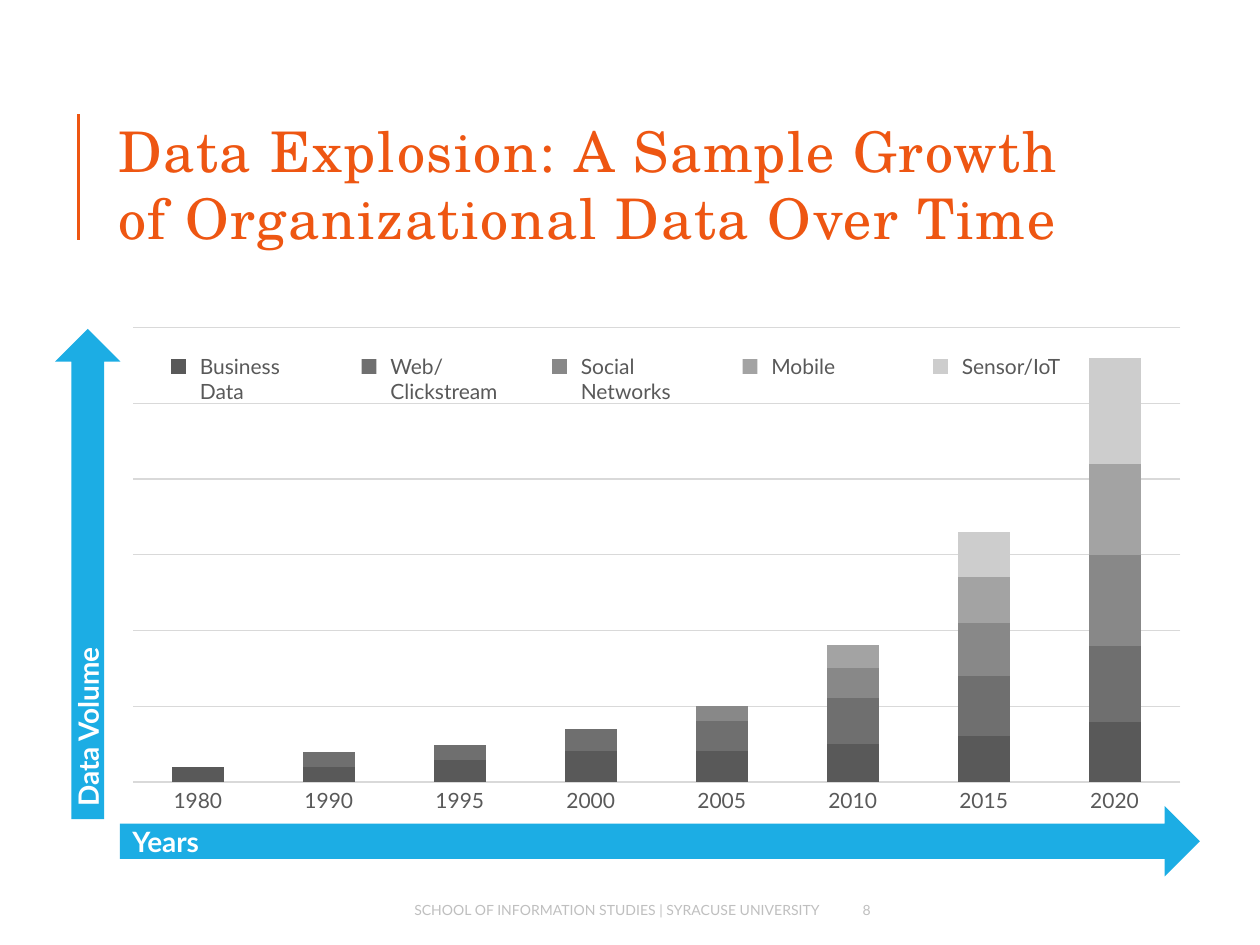
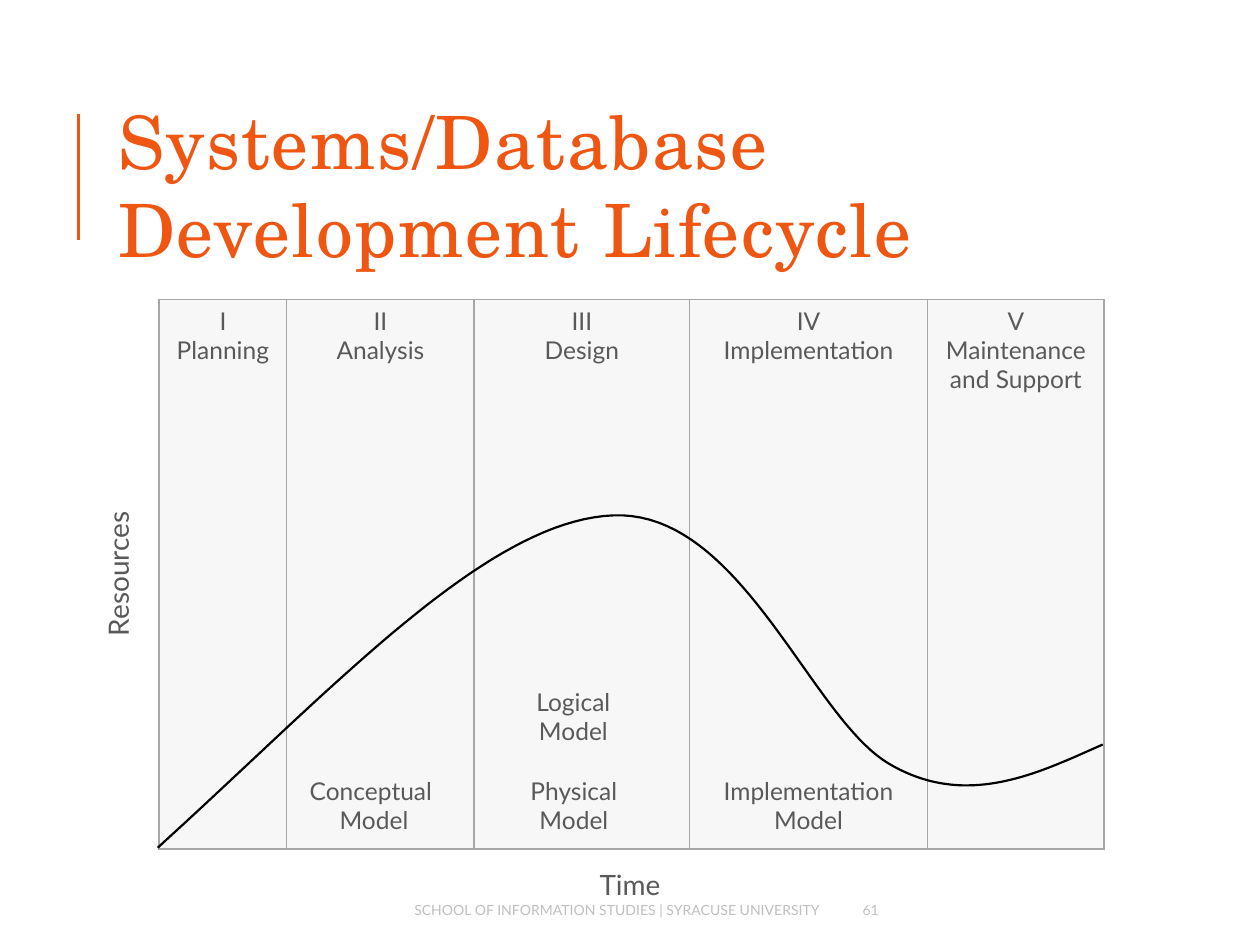
from copy import deepcopy

from lxml import etree
from pptx import Presentation
from pptx import util as u
from pptx.chart import data
from pptx.dml import color
from pptx.enum import chart as charts, shapes, text
from pptx.oxml import ns

COLORS = {"orange": "EE5612", "blue": "1CADE4", "body": "595959", "footer": "BFBFBF",
          "grid": "D9D9D9", "border": "A6A6A6", "cell": "F7F7F7", "white": "FFFFFF",
          "curve": "000000"}

LEFT, CENTER, RIGHT = text.PP_ALIGN.LEFT, text.PP_ALIGN.CENTER, text.PP_ALIGN.RIGHT
TOP, MIDDLE = text.MSO_ANCHOR.TOP, text.MSO_ANCHOR.MIDDLE

FONTS = {
    "growth title": ({"name": "TeX Gyre Schola", "size": u.Pt(32)}, "orange"),
    "lifecycle title": ({"name": "TeX Gyre Schola", "size": u.Pt(42)}, "orange"),
    "footer": ({"name": "Lato", "size": u.Pt(8)}, "footer"),
    "arrow": ({"name": "Lato", "size": u.Pt(16), "bold": True}, "white"),
    "label": ({"name": "Lato", "size": u.Pt(12)}, "body"),
    "phase": ({"name": "Lato", "size": u.Pt(14)}, "body"),
    "axis": ({"name": "Lato", "size": u.Pt(16)}, "body"),
}

FOOTER = "SCHOOL OF INFORMATION STUDIES | SYRACUSE UNIVERSITY"

YEARS = ["1980", "1990", "1995", "2000", "2005", "2010", "2015", "2020"]
SOURCES = [
    ("Business Data", "595959", [14, 14, 21, 29, 29, 36, 43, 57]),
    ("Web/Clickstream", "6F6F6F", [0, 14, 14, 21, 29, 43, 57, 71]),
    ("Social Networks", "888888", [0, 0, 0, 0, 14, 29, 50, 86]),
    ("Mobile", "A3A3A3", [0, 0, 0, 0, 0, 21, 43, 86]),
    ("Sensor/IoT", "CDCDCD", [0, 0, 0, 0, 0, 0, 43, 100]),
]
GRID_STEP, GRID_COUNT = 71.43, 6
PLOT = {"x": 0.018, "y": 0.035, "w": 0.965, "h": 0.833}
ARROWS = [("Data Volume", (-3.17, 10.91, 9.88, 1.32), -90),
          ("Years", (2.42, 16.25, 21.77, 1.42), 0)]

PHASES = [("I\vPlanning", 2.57), ("II\vAnalysis", 3.78), ("III\vDesign", 4.34),
          ("IV\vImplementation", 4.8), ("V\vMaintenance and Support", 3.56)]
MODELS = [("Conceptual \vModel", (5.74, 15.52, 3.6, 1.45)),
          ("Logical\vModel", (10.26, 13.72, 2.6, 1.45)),
          ("Implementation\vModel", (14.0, 15.52, 4.6, 1.45)),
          ("Physical\vModel", (10.27, 15.52, 2.6, 1.45))]
AXES = [("Time", (11.7, 17.37, 2.0, 0.94), 0),
        ("Resources", (0.58, 11.1, 3.6, 0.94), -90)]
CURVE_START = (3.18, 17.09)
CURVE = [((6.71, 13.89), (9.8, 10.49), (12.37, 10.39)),
         ((14.94, 10.29), (16.33, 14.45), (17.91, 15.39)),
         ((19.48, 16.33), (20.96, 15.57), (22.23, 15.01))]
CURVE_STEPS = 40


def rgb(key):
    return color.RGBColor.from_string(COLORS.get(key, key))


def cm(values):
    return [u.Cm(value) for value in values]


def set_all(target, values):
    for key, value in values.items():
        setattr(target, key, value)


def paint(fill, key):
    fill.solid()
    fill.fore_color.rgb = rgb(key)


def style_font(font, style):
    values, tint = FONTS[style]
    set_all(font, values)
    font.color.rgb = rgb(tint)


def write(frame, words, style, align=LEFT, spacing=None):
    paragraph = frame.paragraphs[0]
    paragraph.text = words
    paragraph.alignment = align
    for run in paragraph.runs:
        style_font(run.font, style)
        if spacing:
            run._r.get_or_add_rPr().set("spc", str(spacing))
    for line_break in paragraph._p.findall(ns.qn("a:br")):
        line_break.append(deepcopy(paragraph.runs[0]._r.rPr))


def add_words(slide, words, box, style, align=LEFT, anchor=TOP, wrap=True,
              spacing=None, rotation=0):
    holder = slide.shapes.add_textbox(*cm(box))
    holder.rotation = rotation
    set_all(holder.text_frame, {"word_wrap": wrap, "vertical_anchor": anchor})
    write(holder.text_frame, words, style, align, spacing)


def add_block(slide, preset, box, fill):
    block = slide.shapes.add_shape(preset, *cm(box))
    block.shadow.inherit = False
    paint(block.fill, fill)
    block.line.fill.background()
    return block


def start_slide(deck, title, style, number):
    slide = deck.slides.add_slide(deck.slide_layouts[6])
    rule = slide.shapes.add_connector(shapes.MSO_CONNECTOR.STRAIGHT,
                                      *cm((1.58, 4.83, 1.58, 2.29)))
    rule.line.color.rgb = rgb("orange")
    rule.line.width = u.Pt(1.5)
    etree.SubElement(rule._element.spPr, ns.qn("a:effectLst"))
    add_words(slide, title, (2.13, 1.62, 20.24, 4.17), style, anchor=MIDDLE, spacing=100)
    add_words(slide, FOOTER, (4.8, 17.97, 11.99, 0.76), "footer", RIGHT, MIDDLE)
    add_words(slide, number, (17.14, 17.97, 2.31, 0.76), "footer", anchor=MIDDLE)
    return slide


def place_plot(chart):
    area = chart._chartSpace.chart.plotArea
    for old in area.findall(ns.qn("c:layout")):
        area.remove(old)
    layout = etree.Element(ns.qn("c:layout"))
    manual = etree.SubElement(layout, ns.qn("c:manualLayout"))
    settings = {"layoutTarget": "inner", "xMode": "edge", "yMode": "edge", **PLOT}
    for tag, value in settings.items():
        etree.SubElement(manual, ns.qn("c:" + tag)).set("val", str(value))
    area.insert(0, layout)


def add_growth_chart(slide):
    growth = data.CategoryChartData()
    growth.categories = YEARS
    for source, _, volumes in SOURCES:
        growth.add_series(source, volumes)
    chart = slide.shapes.add_chart(charts.XL_CHART_TYPE.COLUMN_STACKED,
                                   *cm((2.28, 6.22, 21.89, 11)), growth).chart
    set_all(chart, {"has_legend": False, "has_title": False})
    style_font(chart.font, "label")
    chart.font.size = u.Pt(10)
    set_all(chart.plots[0], {"gap_width": 150, "overlap": 100, "vary_by_categories": False})
    chart.category_axis.visible = False
    set_all(chart.value_axis, {"visible": False, "has_major_gridlines": True,
                               "minimum_scale": 0, "major_unit": GRID_STEP,
                               "maximum_scale": GRID_STEP * GRID_COUNT})
    grid = chart.value_axis.major_gridlines.format.line
    grid.color.rgb = rgb("grid")
    grid.width = u.Pt(0.75)
    for series, (_, tint, _) in zip(chart.plots[0].series, SOURCES):
        paint(series.format.fill, tint)
    place_plot(chart)


def build_growth(deck):
    slide = start_slide(deck, "Data Explosion: A Sample Growth of Organizational Data Over Time",
                        "growth title", "8")
    add_growth_chart(slide)
    for words, box, rotation in ARROWS:
        arrow = add_block(slide, shapes.MSO_SHAPE.RIGHT_ARROW, box, "blue")
        arrow.rotation = rotation
        arrow.text_frame.vertical_anchor = MIDDLE
        write(arrow.text_frame, words, "arrow")
    for index, (source, tint, _) in enumerate(SOURCES):
        left = 3.45 + 3.84 * index
        add_block(slide, shapes.MSO_SHAPE.RECTANGLE, (left, 7.24, 0.3, 0.3), tint)
        add_words(slide, source, (left + 0.33, 7, 2.82, 0.95), "label")
    for index, year in enumerate(YEARS):
        add_words(slide, year, (3.08 + 2.64 * index, 15.75, 1.82, 0.95), "label", CENTER)


def border_cell(cell):
    properties = cell._tc.get_or_add_tcPr()
    for index, side in enumerate(("lnL", "lnR", "lnT", "lnB")):
        edge = etree.Element(ns.qn("a:" + side), w=str(u.Pt(1)))
        fill = etree.SubElement(edge, ns.qn("a:solidFill"))
        etree.SubElement(fill, ns.qn("a:srgbClr"), val=COLORS["border"])
        properties.insert(index, edge)


def add_phases(slide):
    width = sum(width for _, width in PHASES)
    phases = slide.shapes.add_table(1, len(PHASES), *cm((3.21, 6.04, width, 11.07))).table
    set_all(phases, {"first_row": False, "horz_banding": False})
    for index, (phase, width) in enumerate(PHASES):
        phases.columns[index].width = u.Cm(width)
        cell = phases.cell(0, index)
        write(cell.text_frame, phase, "phase", CENTER)
        paint(cell.fill, "cell")
        border_cell(cell)


def curve_points():
    start = CURVE_START
    for first, second, end in CURVE:
        for step in range(1, CURVE_STEPS + 1):
            t = step / CURVE_STEPS
            s = 1 - t
            yield cm(s ** 3 * a + 3 * s * s * t * b + 3 * s * t * t * c + t ** 3 * d
                     for a, b, c, d in zip(start, first, second, end))
        start = end


def add_resource_curve(slide):
    builder = slide.shapes.build_freeform(*cm(CURVE_START))
    builder.add_line_segments(list(curve_points()), close=False)
    curve = builder.convert_to_shape()
    curve.shadow.inherit = False
    curve.fill.background()
    curve.line.color.rgb = rgb("curve")
    curve.line.width = u.Pt(1.25)


def build_lifecycle(deck):
    slide = start_slide(deck, "Systems/Database Development Lifecycle", "lifecycle title", "61")
    add_phases(slide)
    add_resource_curve(slide)
    for model, box in MODELS:
        add_words(slide, model, box, "phase", CENTER, wrap=False)
    for axis, box, rotation in AXES:
        add_words(slide, axis, box, "axis", CENTER, wrap=False, rotation=rotation)


def main():
    deck = Presentation()
    set_all(deck, {"slide_width": u.Cm(25.4), "slide_height": u.Cm(19.05)})
    build_growth(deck)
    build_lifecycle(deck)
    deck.save("out.pptx")


if __name__ == "__main__":
    main()
